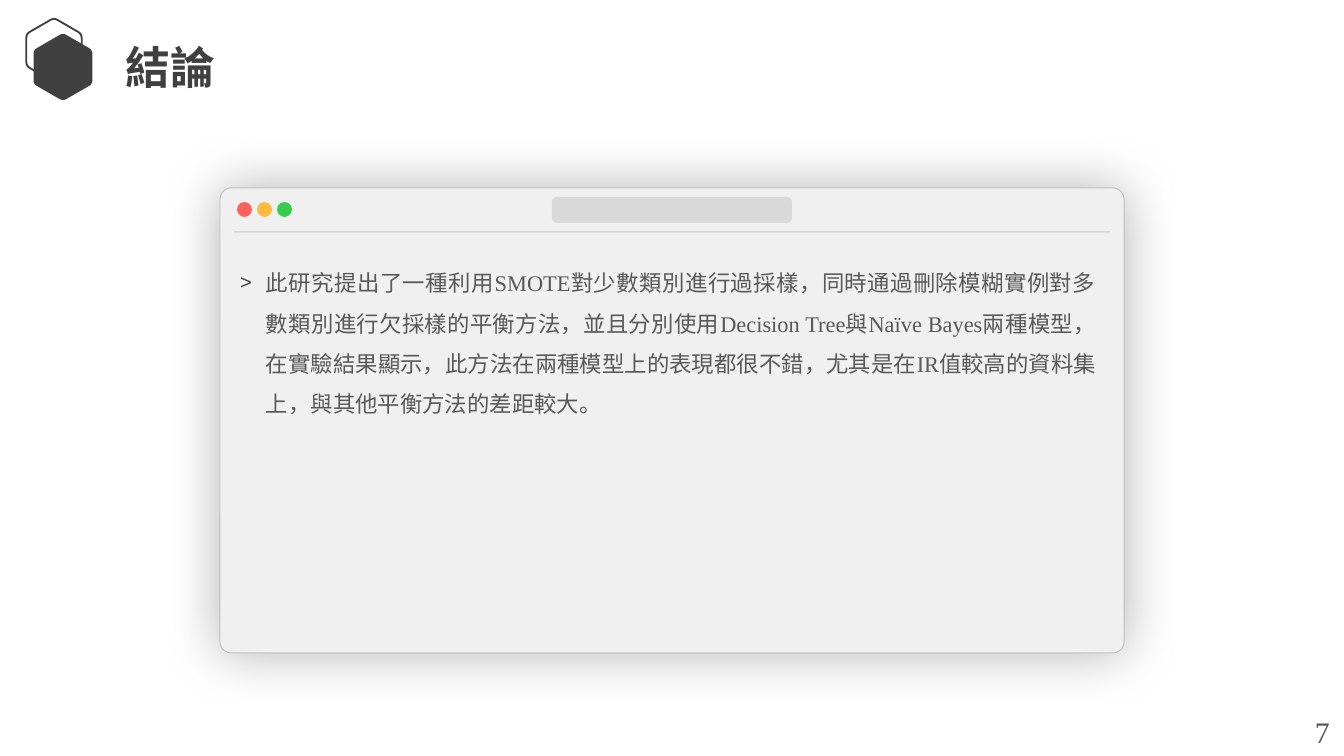
from math import cos, radians, sin

from lxml import etree
from pptx import Presentation
from pptx.dml.color import RGBColor
from pptx.enum.shapes import MSO_CONNECTOR, MSO_SHAPE
from pptx.enum.text import MSO_ANCHOR, MSO_AUTO_SIZE, PP_ALIGN
from pptx.oxml import parse_xml
from pptx.oxml.ns import nsdecls, qn
from pptx.util import Pt

PX = 914400 / 134.4  # EMU per px

DARK = RGBColor(0x40, 0x40, 0x40)
TEXT = RGBColor(0x59, 0x59, 0x59)
WINDOW = RGBColor(0xF0, 0xF0, 0xF0)
BORDER = RGBColor(0xBF, 0xBF, 0xBF)
ADDRESS = RGBColor(0xD9, 0xD9, 0xD9)
RED = RGBColor(0xFC, 0x62, 0x5D)
YELLOW = RGBColor(0xFD, 0xBC, 0x40)
GREEN = RGBColor(0x35, 0xCD, 0x4B)
FONT = "Times New Roman"

CONCLUSION = (
    "此研究提出了一種利用SMOTE對少數類別進行過採樣，同時通過刪除模糊實例對多數類別進行欠採樣的平衡方法，"
    "並且分別使用Decision Tree與Naïve Bayes兩種模型，在實驗結果顯示，此方法在兩種模型上的表現都很不錯，"
    "尤其是在IR值較高的資料集上，與其他平衡方法的差距較大。"
)


def px(*lengths):
    return [round(length * PX) for length in lengths]


def add_filled(kind, box, color, corner=None):
    shape = slide.shapes.add_shape(kind, *px(*box))
    shape.shadow.inherit = False
    shape.fill.solid()
    shape.fill.fore_color.rgb = color
    shape.line.fill.background()
    if corner is not None:
        shape.adjustments[0] = corner
    return shape


presentation = Presentation()
presentation.slide_width, presentation.slide_height = px(1344, 756)
slide = presentation.slides.add_slide(presentation.slide_layouts[1])
title, body = slide.placeholders

# Rounded hexagons: center x, center y, radius, filled
for center_x, center_y, radius, filled in [(54, 50, 32, False), (63, 67, 34, True)]:
    corners = [
        (center_x + radius * sin(radians(angle)), center_y - radius * cos(radians(angle)))
        for angle in range(0, 360, 60)
    ]
    points = []
    for index, corner in enumerate(corners):
        neighbours = corners[index - 1], corners[(index + 1) % 6]
        start, end = [
            [c + (n - c) * 4 / radius for c, n in zip(corner, neighbour)]
            for neighbour in neighbours
        ]
        for step in range(5):
            t = step / 4
            points.append(px(*[
                (1 - t) ** 2 * s + 2 * t * (1 - t) * c + t ** 2 * e
                for s, c, e in zip(start, corner, end)
            ]))
    builder = slide.shapes.build_freeform(*points[0])
    builder.add_line_segments(points[1:], close=True)
    hexagon = builder.convert_to_shape()
    hexagon.shadow.inherit = False
    if filled:
        hexagon.fill.solid()
        hexagon.fill.fore_color.rgb = DARK
        hexagon.line.fill.background()
    else:
        hexagon.fill.background()
        hexagon.line.color.rgb = DARK
        hexagon.line.width = Pt(1)

# Browser window with a soft shadow
window = add_filled(MSO_SHAPE.ROUNDED_RECTANGLE, (220, 188, 904, 465), WINDOW, 0.024)
window.line.color.rgb = BORDER
window.line.width = Pt(0.5)
effects = window._element.spPr.find(qn("a:effectLst"))
effects.append(parse_xml(
    f'<a:outerShdw {nsdecls("a")} blurRad="{Pt(30)}" dist="0" dir="0" algn="ctr" rotWithShape="0">'
    '<a:srgbClr val="000000"><a:alpha val="30000"/></a:srgbClr></a:outerShdw>'
))

# Window buttons and address bar
for index, color in enumerate([RED, YELLOW, GREEN]):
    add_filled(MSO_SHAPE.OVAL, (237 + 20 * index, 202, 15, 15), color)
add_filled(MSO_SHAPE.ROUNDED_RECTANGLE, (552, 197, 240, 26), ADDRESS, 0.19)

# Divider below the address bar
divider = slide.shapes.add_connector(MSO_CONNECTOR.STRAIGHT, *px(234, 232, 1110, 232))
divider.line.color.rgb = BORDER
divider.line.width = Pt(0.5)
divider_color = divider._element.spPr.find(".//" + qn("a:srgbClr"))
etree.SubElement(divider_color, qn("a:alpha"), val="80000")
etree.SubElement(divider._element.spPr, qn("a:effectLst"))

# Title, conclusion and page number
slide.shapes._spTree.append(body._element)
page_number = slide.shapes.add_textbox(*px(1302, 707, 42, 49))
texts = [
    (title, "結論", (117, 35, 349, 64), (9, 5), True, PP_ALIGN.LEFT,
     {"size": Pt(24), "bold": True, "color": DARK}),
    (body, CONCLUSION, (227, 249, 882, 305), (13, 7), True, PP_ALIGN.JUSTIFY,
     {"size": Pt(12), "bold": False, "color": TEXT}),
    (page_number, "7", (1302, 707, 42, 49), (13, 7), False, PP_ALIGN.LEFT,
     {"size": Pt(16), "bold": False, "color": TEXT}),
]
for shape, text, box, (side, end), wrap, alignment, formats in texts:
    shape.left, shape.top, shape.width, shape.height = px(*box)
    frame = shape.text_frame
    frame.text = text
    frame.margin_left, frame.margin_right, frame.margin_top, frame.margin_bottom = px(
        side, side, end, end
    )
    frame.word_wrap = wrap
    frame.auto_size = MSO_AUTO_SIZE.NONE
    frame.vertical_anchor = MSO_ANCHOR.TOP
    paragraph = frame.paragraphs[0]
    paragraph.alignment = alignment
    paragraph.space_before = Pt(0)
    font = paragraph.runs[0].font
    font.name = FONT
    font.color.rgb = formats.pop("color")
    for name, value in formats.items():
        setattr(font, name, value)

# Bullet of the conclusion
paragraph = body.text_frame.paragraphs[0]
paragraph.line_spacing = 1.5
properties = paragraph._p.get_or_add_pPr()
indent, = px(26)
properties.set("marL", str(indent))
properties.set("indent", str(-indent))
bullet_color = etree.SubElement(properties, qn("a:buClr"))
etree.SubElement(bullet_color, qn("a:srgbClr"), val=str(DARK))
etree.SubElement(properties, qn("a:buSzPct"), val="90000")
etree.SubElement(properties, qn("a:buFont"), typeface="Arial")
etree.SubElement(properties, qn("a:buChar"), char=">")

presentation.save("out.pptx")
